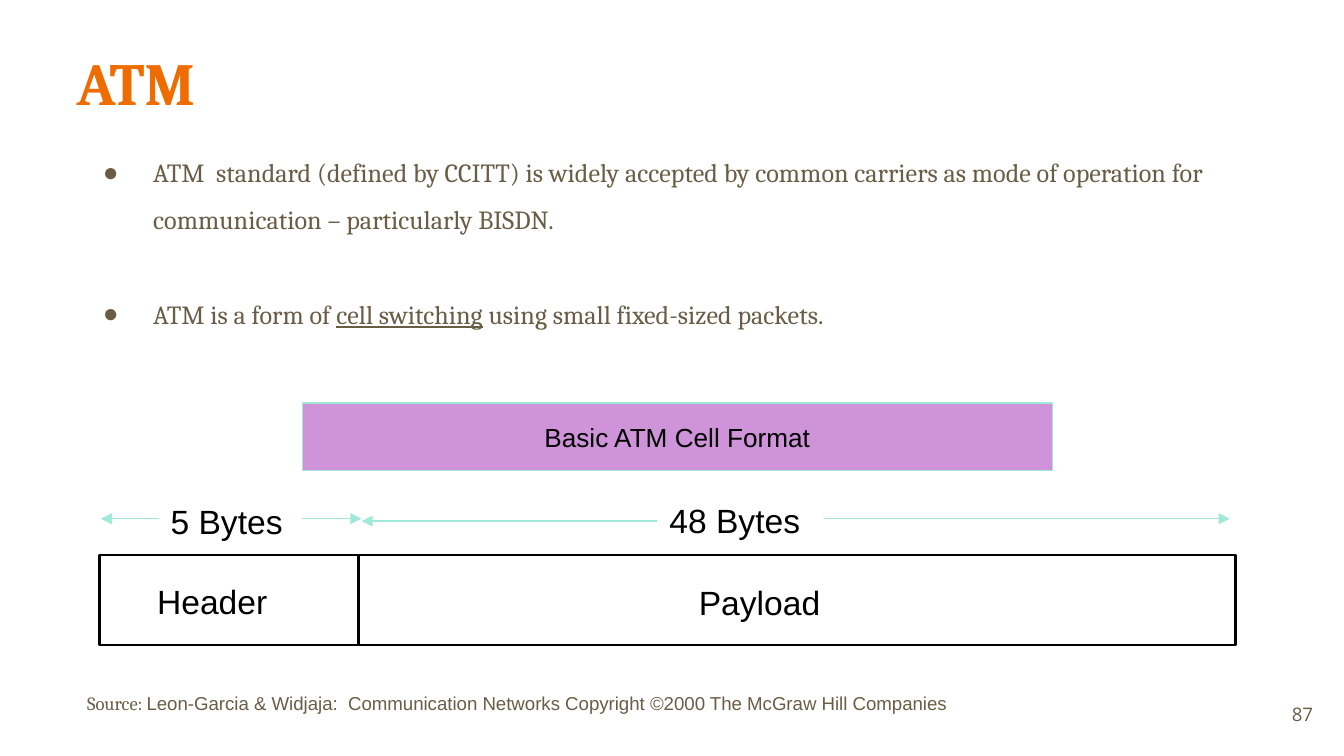
from dataclasses import dataclass

from lxml import etree
from pptx import Presentation
from pptx.dml.color import RGBColor
from pptx.enum.shapes import MSO_CONNECTOR, MSO_SHAPE
from pptx.enum.text import MSO_ANCHOR, MSO_AUTO_SIZE, PP_ALIGN
from pptx.oxml.ns import qn
from pptx.util import Pt

STRAIGHT = MSO_CONNECTOR.STRAIGHT
RECTANGLE = MSO_SHAPE.RECTANGLE
TOP, MIDDLE = MSO_ANCHOR.TOP, MSO_ANCHOR.MIDDLE
LEFT, CENTER, RIGHT = PP_ALIGN.LEFT, PP_ALIGN.CENTER, PP_ALIGN.RIGHT
NO_AUTOFIT = MSO_AUTO_SIZE.NONE

COLORS = {
    "title": "EF6C00",
    "text": "695D46",
    "black": "000000",
    "mint": "A1E8D9",
    "lilac": "CE93D8",
}
SERIF, SANS = "Cambria", "Arial"
INSET = 7.2
LABEL_HEIGHT = 21.6
CELL_LEFT, CELL_TOP, CELL_WIDTH, CELL_HEIGHT = 53.3, 297.4, 608.4, 48.2
DIVIDER_X = 192.2
ARROW_Y = 277.9


@dataclass
class Label:
    text: str
    left: float
    top: float
    width: float


@dataclass
class Arrow:
    """A horizontal arrow with its head at the end."""
    start: float
    end: float
    y: float = ARROW_Y


LABELS = [
    Label("Header", 84.2, 311, 82),
    Label("Payload", 374.4, 311.8, 103),
    Label("5 Bytes", 91.4, 268.6, 82),
    Label("48 Bytes", 358.6, 267.8, 82),
]
ARROWS = [
    Arrow(162, 193.7),
    Arrow(85, 54),
    Arrow(352, 193.7, 279.2),
    Arrow(441.4, 658.8),
]
BULLETS = [
    ["ATM  standard (defined by CCITT) is widely accepted by common carriers "
     "as mode of operation for communication – particularly BISDN."],
    ["ATM is a form of ", "cell switching", " using small fixed-sized packets."],
]
UNDERLINED = "cell switching"


def color(name: str) -> RGBColor:
    return RGBColor.from_string(COLORS[name])


def place(shape, left: float, top: float, width: float, height: float) -> None:
    shape.left, shape.top = Pt(left), Pt(top)
    shape.width, shape.height = Pt(width), Pt(height)


def set_frame(frame, inset: float, anchor=TOP) -> None:
    frame.auto_size = NO_AUTOFIT
    frame.word_wrap = True
    frame.vertical_anchor = anchor
    frame.margin_left = frame.margin_right = Pt(inset)
    frame.margin_top = frame.margin_bottom = Pt(inset)


def set_font(font, name: str, size: float, color_name: str) -> None:
    font.name, font.size = name, Pt(size)
    font.color.rgb = color(color_name)


def add_text(slide, label: Label, height: float, inset: float, font_name: str,
             size: float, color_name: str, anchor=TOP, align=LEFT) -> None:
    box = slide.shapes.add_textbox(
        Pt(label.left), Pt(label.top), Pt(label.width), Pt(height))
    set_frame(box.text_frame, inset, anchor)
    paragraph = box.text_frame.paragraphs[0]
    paragraph.text = label.text
    paragraph.alignment = align
    set_font(paragraph.font, font_name, size, color_name)


def add_line(slide, start: tuple[float, float], end: tuple[float, float],
             color_name: str, width: float, arrowhead: bool = False) -> None:
    connector = slide.shapes.add_connector(
        STRAIGHT, *(Pt(value) for value in start + end))
    connector.line.color.rgb = color(color_name)
    connector.line.width = Pt(width)
    if arrowhead:
        etree.SubElement(connector.line._get_or_add_ln(), qn("a:tailEnd"), type="triangle")
    etree.SubElement(connector._element.spPr, qn("a:effectLst"))


def add_rectangle(slide, left: float, top: float, width: float, height: float,
                  line_color: str, line_width: float):
    rectangle = slide.shapes.add_shape(
        RECTANGLE, Pt(left), Pt(top), Pt(width), Pt(height))
    rectangle.shadow.inherit = False
    rectangle.fill.background()
    rectangle.line.color.rgb = color(line_color)
    rectangle.line.width = Pt(line_width)
    return rectangle


def add_bullet(paragraph) -> None:
    properties = paragraph._p.get_or_add_pPr()
    properties.set("marL", str(Pt(36)))
    properties.set("indent", str(Pt(-27)))
    bullet_color = etree.SubElement(properties, qn("a:buClr"))
    etree.SubElement(bullet_color, qn("a:srgbClr"), val=COLORS["text"])
    etree.SubElement(properties, qn("a:buChar"), char="●")


def fill_title(title) -> None:
    place(title, 33.8, 17.3, 671, 55.4)
    set_frame(title.text_frame, INSET)
    paragraph = title.text_frame.paragraphs[0]
    paragraph.text = "ATM"
    paragraph.alignment = LEFT
    set_font(paragraph.font, SERIF, 32, "title")
    paragraph.font.bold = True


def fill_body(body) -> None:
    place(body, 38.9, 68.4, 671, 260)
    frame = body.text_frame
    set_frame(frame, INSET)
    for index, parts in enumerate(BULLETS):
        paragraph = frame.add_paragraph() if index else frame.paragraphs[0]
        add_bullet(paragraph)
        paragraph.line_spacing = 1.5
        paragraph.space_before = Pt(25.2 if index else 0)
        set_font(paragraph.font, SERIF, 14, "text")
        for part in parts:
            run = paragraph.add_run()
            run.text = part
            if part == UNDERLINED:
                run.font.underline = True


def add_cell_diagram(slide) -> None:
    add_rectangle(slide, CELL_LEFT, CELL_TOP, CELL_WIDTH, CELL_HEIGHT, "black", 1.5)
    add_line(slide, (DIVIDER_X, CELL_TOP), (DIVIDER_X, CELL_TOP + CELL_HEIGHT), "black", 1.5)
    for label in LABELS:
        add_text(slide, label, LABEL_HEIGHT, 0, SANS, 18, "black")
    for arrow in ARROWS:
        add_line(slide, (arrow.start, arrow.y), (arrow.end, arrow.y), "mint", 0.75, True)

    banner = add_rectangle(slide, 162, 216, 401.8, 36, "mint", 0.75)
    banner.fill.solid()
    banner.fill.fore_color.rgb = color("lilac")
    set_frame(banner.text_frame, INSET, MIDDLE)
    paragraph = banner.text_frame.paragraphs[0]
    paragraph.text = "Basic ATM Cell Format"
    paragraph.alignment = CENTER
    set_font(paragraph.font, SANS, 14, "black")


def add_source(slide) -> None:
    box = slide.shapes.add_textbox(Pt(39.6), Pt(367.2), Pt(638.6), Pt(31.7))
    box.text_frame.word_wrap = True
    paragraph = box.text_frame.paragraphs[0]
    for text, font_name in (
        ("Source: ", SERIF),
        ("Leon-Garcia & Widjaja:  Communication Networks Copyright ©2000 "
         "The McGraw Hill Companies", SANS),
    ):
        run = paragraph.add_run()
        run.text = text
        set_font(run.font, font_name, 10, "text")


def main() -> None:
    presentation = Presentation()
    presentation.slide_width, presentation.slide_height = Pt(720), Pt(405)
    slide = presentation.slides.add_slide(presentation.slide_layouts[1])
    fill_title(slide.shapes.title)
    fill_body(slide.placeholders[1])
    add_cell_diagram(slide)
    add_source(slide)
    add_text(slide, Label("87", 667.4, 367.2, 43.2), 31, INSET, "Open Sans", 10,
             "text", MIDDLE, RIGHT)
    presentation.save("out.pptx")


if __name__ == "__main__":
    main()
